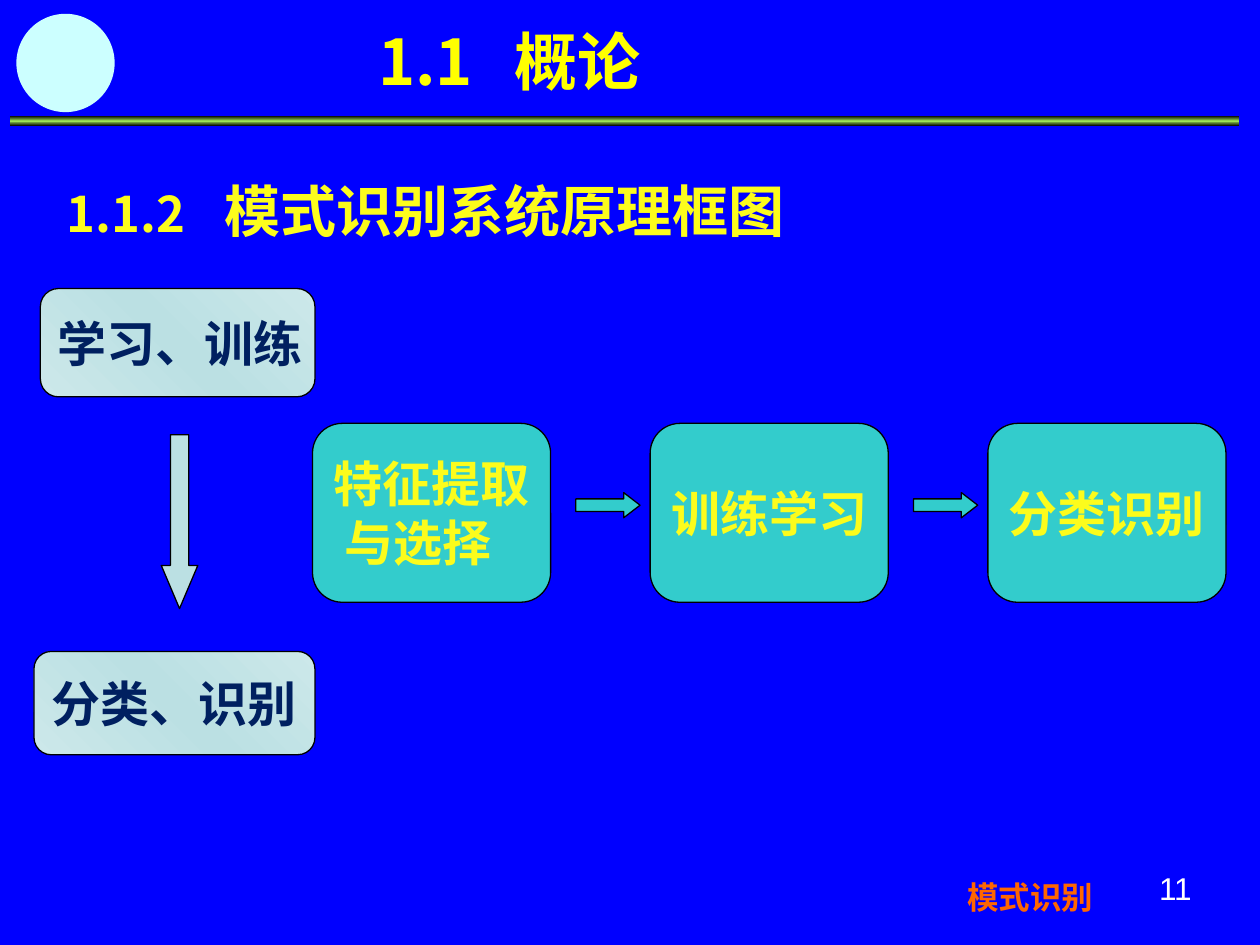
from lxml.etree import SubElement
from pptx import Presentation
from pptx.dml.color import RGBColor
from pptx.enum.shapes import MSO_SHAPE
from pptx.enum.text import MSO_ANCHOR, PP_ALIGN
from pptx.oxml import parse_xml
from pptx.oxml.ns import nsdecls, qn
from pptx.util import Inches, Pt

CJK_FONT = "Noto Sans CJK SC"
YELLOW = "FCFC1C"
TEAL = "33CCCC"
PALE = "BBE0E3"


def color(hex_code):
    """Return the colour for a hex string."""
    return RGBColor.from_string(hex_code)


def add_run(paragraph, text, size, hex_code, font=CJK_FONT, bold=True):
    """Add one formatted run to a paragraph."""
    run = paragraph.add_run()
    run.text = text
    run.font.size = Pt(size)
    run.font.bold = bold
    run.font.name = font
    run.font.color.rgb = color(hex_code)
    properties = run._r.get_or_add_rPr()
    SubElement(properties, qn("a:ea")).set("typeface", font)


def set_tab(paragraph, position):
    """Give a paragraph one left tab stop."""
    tabs = SubElement(paragraph._p.get_or_add_pPr(), qn("a:tabLst"))
    tab = SubElement(tabs, qn("a:tab"))
    tab.set("pos", str(Inches(position)))
    tab.set("algn", "l")


def place(shape, left, top, width, height):
    """Move and size a shape in inches."""
    shape.left, shape.top = Inches(left), Inches(top)
    shape.width, shape.height = Inches(width), Inches(height)


def fill_gradient(shape, edge, middle, angle):
    """Fill a shape with a gradient that is symmetric about its middle."""
    stops = "".join(
        f'<a:gs pos="{position}"><a:srgbClr val="{hex_code}"/></a:gs>'
        for position, hex_code in ((0, edge), (50000, middle), (100000, edge))
    )
    gradient = parse_xml(
        f'<a:gradFill {nsdecls("a")} rotWithShape="1"><a:gsLst>{stops}</a:gsLst>'
        f'<a:lin ang="{angle * 60000}" scaled="0"/></a:gradFill>'
    )
    shape._element.spPr.find(qn("a:prstGeom")).addnext(gradient)


def add_figure(slide, preset, bounds, fill=None, outlined=True):
    """Add a preset shape with an optional solid fill and black outline."""
    figure = slide.shapes.add_shape(preset, *map(Inches, bounds))
    figure.shadow.inherit = False
    if fill:
        figure.fill.solid()
        figure.fill.fore_color.rgb = color(fill)
    if outlined:
        figure.line.color.rgb = color("000000")
        figure.line.width = Pt(0.75)
    else:
        figure.line.fill.background()
    return figure


def add_stage(slide, bounds, lines, text_color, fill=None):
    """Add a rounded box whose later lines are slightly indented."""
    stage = add_figure(slide, MSO_SHAPE.ROUNDED_RECTANGLE, bounds, fill)
    frame = stage.text_frame
    frame.word_wrap = False
    frame.vertical_anchor = MSO_ANCHOR.MIDDLE
    for index, line in enumerate(lines):
        paragraph = frame.add_paragraph() if index else frame.paragraphs[0]
        paragraph.alignment = PP_ALIGN.LEFT
        if index:
            paragraph._p.get_or_add_pPr().set("marL", str(Inches(0.09)))
        add_run(paragraph, line, 28, text_color)
    return stage


def add_arrow(slide, preset, bounds, fill, head_ratio):
    """Add a block arrow with the given head length ratio."""
    arrow = add_figure(slide, preset, bounds, fill)
    arrow.adjustments[1] = head_ratio


def add_label(slide, bounds):
    """Add a wrapping text box and return its first paragraph."""
    frame = slide.shapes.add_textbox(*map(Inches, bounds)).text_frame
    frame.word_wrap = True
    return frame.paragraphs[0]


def add_header(slide):
    """Add the header rule, the disc and the title."""
    rule = add_figure(slide, MSO_SHAPE.RECTANGLE, (0.08, 0.92, 9.75, 0.08), outlined=False)
    fill_gradient(rule, "000000", "9CE157", 90)
    add_figure(slide, MSO_SHAPE.OVAL, (0.13, 0.11, 0.78, 0.78), "CCFFFF", outlined=False)
    title = slide.shapes.title
    place(title, 2.9, -0.02, 2.82, 0.85)
    title.text_frame.vertical_anchor = MSO_ANCHOR.TOP
    heading = title.text_frame.paragraphs[0]
    heading.alignment = PP_ALIGN.LEFT
    set_tab(heading, 1.08)
    heading.line_spacing = 1.25
    add_run(heading, "1.1\t概论", 36, "FFFF00")


def add_phases(slide):
    """Add the training and recognition phases with the arrow between them."""
    phases = (
        ("学习、训练", (0.32, 2.29, 2.18, 0.86)),
        ("分类、识别", (0.27, 5.17, 2.23, 0.82)),
    )
    for name, bounds in phases:
        phase = add_stage(slide, bounds, [name], "002060")
        fill_gradient(phase, "CCE8EA", PALE, 315)
    add_arrow(slide, MSO_SHAPE.DOWN_ARROW, (1.28, 3.45, 0.29, 1.38), PALE, 1.18)


def add_pipeline(slide):
    """Add the evenly spaced processing steps and the arrows between them."""
    first_left, pitch = 2.48, 2.68
    steps = (["特征提取", "与选择"], ["训练学习"], ["分类识别"])
    for index, lines in enumerate(steps):
        left = first_left + index * pitch
        add_stage(slide, (left, 3.36, 1.89, 1.42), lines, YELLOW, TEAL)
        if index < len(steps) - 1:
            arrow_bounds = (left + 2.09, 3.91, 0.51, 0.2)
            add_arrow(slide, MSO_SHAPE.RIGHT_ARROW, arrow_bounds, TEAL, 0.65)


def main():
    """Build the slide and save it."""
    deck = Presentation()
    deck.slide_width, deck.slide_height = Inches(10), Inches(7.5)
    slide = deck.slides.add_slide(deck.slide_layouts[5])
    slide.background.fill.solid()
    slide.background.fill.fore_color.rgb = color("0000FF")

    add_header(slide)
    section = add_label(slide, (0.43, 1.35, 9, 0.71))
    set_tab(section, 1.25)
    add_run(section, "1.1.2", 28, YELLOW)
    add_run(section, "\t模式识别系统原理框图", 32, YELLOW)
    add_phases(slide)
    add_pipeline(slide)
    course = add_label(slide, (7.58, 6.92, 1.68, 0.4))
    add_run(course, "模式识别", 18, "FF6600", "Arial")
    page_number = add_label(slide, (9.1, 6.85, 0.65, 0.52))
    add_run(page_number, "11", 18, "FFFFFF", "Arial", bold=False)
    deck.save("out.pptx")


if __name__ == "__main__":
    main()
